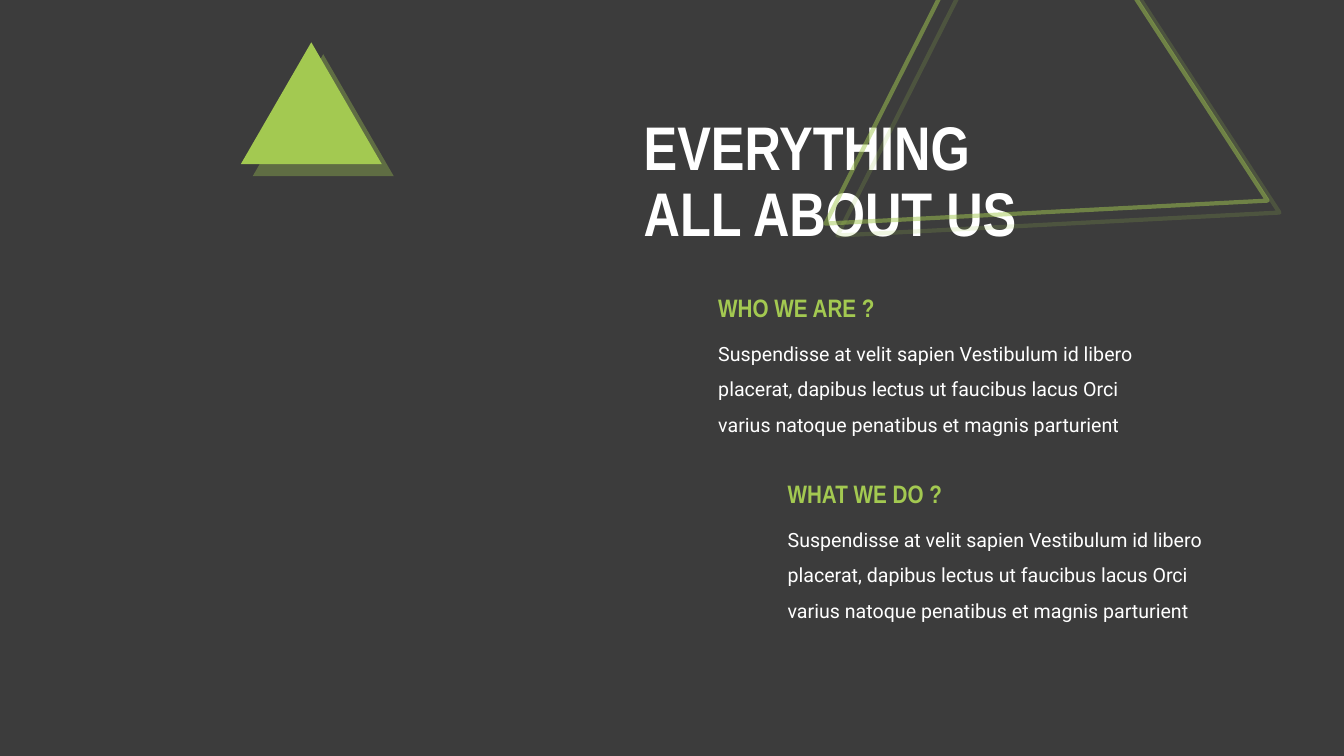
from dataclasses import dataclass
from typing import NamedTuple

from lxml.etree import SubElement
from pptx import Presentation
from pptx.dml.color import RGBColor
from pptx.enum.shapes import MSO_SHAPE as Preset
from pptx.enum.text import MSO_ANCHOR as Anchor
from pptx.oxml.ns import qn
from pptx.util import Pt


@dataclass(frozen=True)
class Theme:
    background: RGBColor = RGBColor(0x3C, 0x3C, 0x3C)
    accent: RGBColor = RGBColor(0xA3, 0xC9, 0x51)
    text: RGBColor = RGBColor(0xFF, 0xFF, 0xFF)
    heading_font: str = "Arial Narrow"
    body_font: str = "Roboto"
    title_size: int = 44
    heading_size: int = 18
    body_size: int = 14


class Box(NamedTuple):
    left: float
    top: float
    width: float
    height: float

    def lengths(self):
        return [Pt(value) for value in self]


THEME = Theme()
HEADING_HEIGHT = 28.8
BODY_OFFSET = 27
SECTION_WIDTH, SECTION_HEIGHT = 324.7, 109.8
LOREM = ("Suspendisse at velit sapien Vestibulum id libero placerat, "
         "dapibus lectus ut faucibus lacus Orci varius natoque penatibus "
         "et magnis parturient")
SECTIONS = [
    ("WHO WE ARE ?", LOREM, 506.2, 205.4),
    ("WHAT WE DO ?", LOREM, 555.8, 338.2),
]


def add_text(page, box, text, font, size, color, bold=False, spacing=1.0,
             anchor=Anchor.TOP):
    frame = page.shapes.add_textbox(*box.lengths()).text_frame
    frame.word_wrap = True
    frame.vertical_anchor = anchor
    frame.text = text
    para = frame.paragraphs[0]
    para.line_spacing = spacing
    for span in para.runs:
        span.font.name = font
        span.font.size = Pt(size)
        span.font.bold = bold
        span.font.color.rgb = color


def set_opacity(color_element, percent):
    SubElement(color_element, qn("a:alpha"), val=str(percent * 1000))


def add_accent_shadow(shape):
    """Cast a hard, translucent accent shadow towards the lower right."""
    shape.shadow.inherit = False
    effects = shape._element.spPr.find(qn("a:effectLst"))
    shadow = SubElement(effects, qn("a:outerShdw"), blurRad="0",
                        dist=str(int(Pt(12.1))), dir=str(45 * 60000),
                        algn="tl", rotWithShape="0")
    color = SubElement(shadow, qn("a:srgbClr"), val=str(THEME.accent))
    set_opacity(color, 35)


def add_outline_triangle(page, box):
    triangle = page.shapes.add_shape(Preset.ISOSCELES_TRIANGLE, *box.lengths())
    triangle.rotation = 236.9
    triangle.fill.background()
    triangle.line.color.rgb = THEME.accent
    triangle.line.width = Pt(3)
    line = triangle._element.spPr.find(qn("a:ln"))
    set_opacity(next(line.iter(qn("a:srgbClr"))), 50)
    add_accent_shadow(triangle)


def add_solid_triangle(page, box):
    triangle = page.shapes.add_shape(Preset.ISOSCELES_TRIANGLE, *box.lengths())
    triangle.fill.solid()
    triangle.fill.fore_color.rgb = THEME.accent
    triangle.line.fill.background()
    add_accent_shadow(triangle)


def add_title(page, box):
    add_text(page, box, "EVERYTHING\vALL ABOUT US", THEME.heading_font,
             THEME.title_size, THEME.text, bold=True, spacing=0.9,
             anchor=Anchor.MIDDLE)


def add_section(page, box, heading, body):
    body_box = Box(box.left, box.top + BODY_OFFSET,
                   box.width, box.height - BODY_OFFSET)
    add_text(page, body_box, body, THEME.body_font, THEME.body_size,
             THEME.text, spacing=1.5)
    heading_box = Box(box.left, box.top, 176.4, HEADING_HEIGHT)
    add_text(page, heading_box, heading, THEME.heading_font,
             THEME.heading_size, THEME.accent, bold=True)


def build_about_slide(deck):
    page = deck.slides.add_slide(deck.slide_layouts[6])
    page.background.fill.solid()
    page.background.fill.fore_color.rgb = THEME.background
    add_title(page, Box(452.9, 74.2, 404.6, 113.8))
    add_outline_triangle(page, Box(545.8, -51.8, 317.5, 273.6))
    add_solid_triangle(page, Box(172.1, 30.2, 100.8, 87.1))
    for heading, body, left, top in SECTIONS:
        add_section(page, Box(left, top, SECTION_WIDTH, SECTION_HEIGHT),
                    heading, body)


def main():
    deck = Presentation()
    deck.slide_width, deck.slide_height = Pt(960.48), Pt(540)
    build_about_slide(deck)
    deck.save("out.pptx")


if __name__ == "__main__":
    main()
